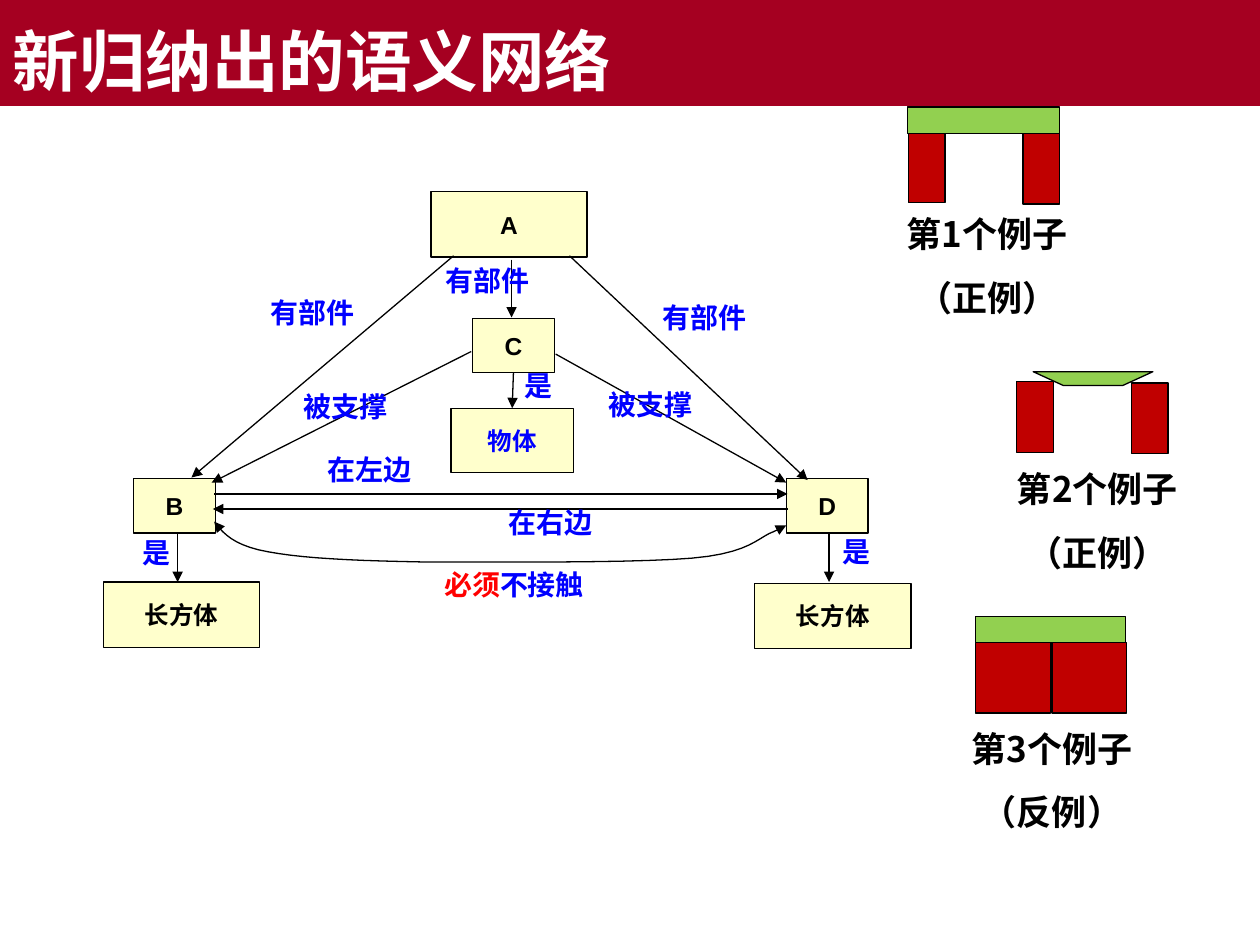
from lxml import etree
from pptx import Presentation
from pptx.dml.color import RGBColor
from pptx.enum.shapes import MSO_CONNECTOR as CONNECTOR, MSO_SHAPE as SHAPE
from pptx.enum.text import MSO_ANCHOR as ANCHOR, MSO_AUTO_SIZE as AUTO_SIZE, PP_ALIGN as ALIGN
from pptx.oxml.ns import qn
from pptx.util import Inches, Pt

BLACK = RGBColor(0x00, 0x00, 0x00)
WHITE = RGBColor(0xFF, 0xFF, 0xFF)
BLUE = RGBColor(0x00, 0x00, 0xFF)
RED = RGBColor(0xFF, 0x00, 0x00)
CREAM = RGBColor(0xFF, 0xFF, 0xCC)
BRICK = RGBColor(0xC0, 0x00, 0x00)
GREEN = RGBColor(0x92, 0xD0, 0x50)
CRIMSON = RGBColor(0xA5, 0x00, 0x21)
CJK_FONT = "Noto Sans CJK SC"


def write_text(shape, *lines, size=16, color=BLUE, font="Arial", align=ALIGN.LEFT,
               anchor=ANCHOR.MIDDLE, wrap=True, gap=0):
    frame = shape.text_frame
    frame.word_wrap = wrap
    frame.auto_size = AUTO_SIZE.NONE
    frame.vertical_anchor = anchor
    for index, line in enumerate(lines):
        paragraph = frame.add_paragraph() if index else frame.paragraphs[0]
        paragraph.alignment = align
        paragraph.space_before = Pt(gap if index else 0)
        for text, run_color in ([(line, color)] if isinstance(line, str) else line):
            run = paragraph.add_run()
            run.text = text
            run.font.size = Pt(size)
            run.font.bold = True
            run.font.name = font
            run.font.color.rgb = run_color
            etree.SubElement(run.font._element, qn("a:ea"), typeface=CJK_FONT)


def style_outline(shape, fill=None, arrows=()):
    if fill is not None:
        shape.fill.solid()
        shape.fill.fore_color.rgb = fill
    shape.line.color.rgb = BLACK
    shape.line.width = Pt(0.75)
    for end in arrows:
        etree.SubElement(shape.line._get_or_add_ln(), qn("a:" + end), type="triangle")
    properties = shape._element.spPr
    if properties.find(qn("a:effectLst")) is None:
        etree.SubElement(properties, qn("a:effectLst"))


presentation = Presentation()
presentation.slide_width, presentation.slide_height = Inches(10), Inches(7.5)
slide = presentation.slides.add_slide(presentation.slide_layouts[5])
shapes = slide.shapes

title = shapes.title
title.left, title.top, title.width, title.height = Inches(0), Inches(0), Inches(10), Inches(0.84)
title.fill.solid()
title.fill.fore_color.rgb = CRIMSON
write_text(title, "新归纳出的语义网络", size=38, color=WHITE, anchor=ANCHOR.BOTTOM)

nodes = {}
for name, text, left, top, width, height, color in [
    ("A", "A", 3.42, 1.52, 1.24, 0.52, BLACK),
    ("B", "B", 1.06, 3.8, 0.65, 0.43, BLACK),
    ("C", "C", 3.75, 2.53, 0.65, 0.43, BLACK),
    ("D", "D", 6.24, 3.8, 0.65, 0.43, BLACK),
    ("B kind", "长方体", 0.82, 4.62, 1.24, 0.52, BLACK),
    ("D kind", "长方体", 5.99, 4.63, 1.24, 0.52, BLACK),
    ("C kind", "物体", 3.58, 3.24, 0.97, 0.51, BLUE),
]:
    node = shapes.add_shape(SHAPE.RECTANGLE, Inches(left), Inches(top), Inches(width), Inches(height))
    style_outline(node, CREAM)
    write_text(node, text, size=14, color=color, align=ALIGN.CENTER, wrap=False)
    nodes[name] = node

kind_arrow = shapes.add_connector(CONNECTOR.STRAIGHT, 0, 0, 0, 0)
kind_arrow.begin_connect(nodes["C"], 2)
kind_arrow.end_connect(nodes["C kind"], 0)
style_outline(kind_arrow, arrows=["tailEnd"])

for start_x, start_y, end_x, end_y in [
    (4.06, 2.06, 4.06, 2.52),
    (1.41, 4.24, 1.41, 4.62),
    (6.58, 4.24, 6.58, 4.62),
    (3.6, 2.03, 1.52, 3.79),
    (4.52, 2.03, 6.41, 3.81),
    (3.74, 2.79, 1.68, 3.83),
    (4.41, 2.81, 6.24, 3.83),
    (1.7, 3.92, 6.25, 3.92),
    (6.25, 4.04, 1.69, 4.04),
]:
    arrow = shapes.add_connector(
        CONNECTOR.STRAIGHT, Inches(start_x), Inches(start_y), Inches(end_x), Inches(end_y))
    style_outline(arrow, arrows=["tailEnd"])

curve_start = (1.7, 4.14)
curve_points = []
segment_start = curve_start
steps = 10
for first, second, end in [
    ((1.77, 4.23), (1.85, 4.33), (2.13, 4.38)),
    ((2.4, 4.43), (2.79, 4.45), (3.35, 4.46)),
    ((3.91, 4.46), (5.03, 4.47), (5.49, 4.43)),
    ((5.96, 4.39), (6.02, 4.26), (6.14, 4.22)),
    ((6.18, 4.2), (6.21, 4.19), (6.24, 4.17)),
]:
    for step in range(1, steps + 1):
        t = step / steps
        curve_points.append(tuple(
            Inches((1 - t) ** 3 * a + 3 * (1 - t) ** 2 * t * b + 3 * (1 - t) * t ** 2 * c + t ** 3 * d)
            for a, b, c, d in zip(segment_start, first, second, end)))
    segment_start = end
builder = shapes.build_freeform(Inches(curve_start[0]), Inches(curve_start[1]))
builder.add_line_segments(curve_points, close=False)
no_contact = builder.convert_to_shape()
no_contact.fill.background()
style_outline(no_contact, arrows=["headEnd", "tailEnd"])

for line, left, top, width, align in [
    ("有部件", 2.05, 2.29, 0.97, ALIGN.LEFT),
    ("有部件", 5.16, 2.33, 0.97, ALIGN.LEFT),
    ("有部件", 3.44, 2.04, 0.97, ALIGN.LEFT),
    ("被支撑", 2.31, 3.04, 0.97, ALIGN.LEFT),
    ("被支撑", 4.73, 3.02, 0.97, ALIGN.LEFT),
    ("在左边", 2.5, 3.54, 0.97, ALIGN.LEFT),
    ("在右边", 3.94, 3.96, 0.97, ALIGN.LEFT),
    ([("必须", RED), ("不接触", BLUE)], 3.35, 4.45, 1.46, ALIGN.CENTER),
    ("是", 0.92, 4.2, 0.65, ALIGN.CENTER),
    ("是", 6.47, 4.19, 0.65, ALIGN.CENTER),
    ("是", 3.95, 2.87, 0.65, ALIGN.CENTER),
]:
    label = shapes.add_textbox(Inches(left), Inches(top), Inches(width), Inches(0.37))
    write_text(label, line, align=align)

for left, top, width, height, color in [
    (7.21, 1.05, 0.29, 0.56, BRICK),
    (8.12, 1.06, 0.29, 0.56, BRICK),
    (7.2, 0.85, 1.21, 0.21, GREEN),
    (8.07, 3.03, 0.29, 0.56, BRICK),
    (8.98, 3.04, 0.29, 0.56, BRICK),
    (7.74, 5.1, 0.6, 0.56, BRICK),
    (8.35, 5.1, 0.59, 0.56, BRICK),
    (7.74, 4.89, 1.19, 0.21, GREEN),
]:
    block = shapes.add_shape(SHAPE.RECTANGLE, Inches(left), Inches(top), Inches(width), Inches(height))
    style_outline(block, color)

builder = shapes.build_freeform(Inches(9.15), Inches(2.95))
builder.add_line_segments(
    [(Inches(x), Inches(y)) for x, y in [(8.91, 3.06), (8.44, 3.06), (8.2, 2.95)]], close=True)
style_outline(builder.convert_to_shape(), GREEN)

for number, kind, left, top, width in [
    (1, "正例", 6.82, 1.64, 2.03),
    (2, "正例", 7.74, 3.66, 1.94),
    (3, "反例", 7.38, 5.72, 1.94),
]:
    caption = shapes.add_textbox(Inches(left), Inches(top), Inches(width), Inches(0.94))
    write_text(caption, f"第{number}个例子", f"（{kind}）", size=20, color=BLACK,
               font=CJK_FONT, align=ALIGN.CENTER, gap=12.5)

presentation.save("out.pptx")
